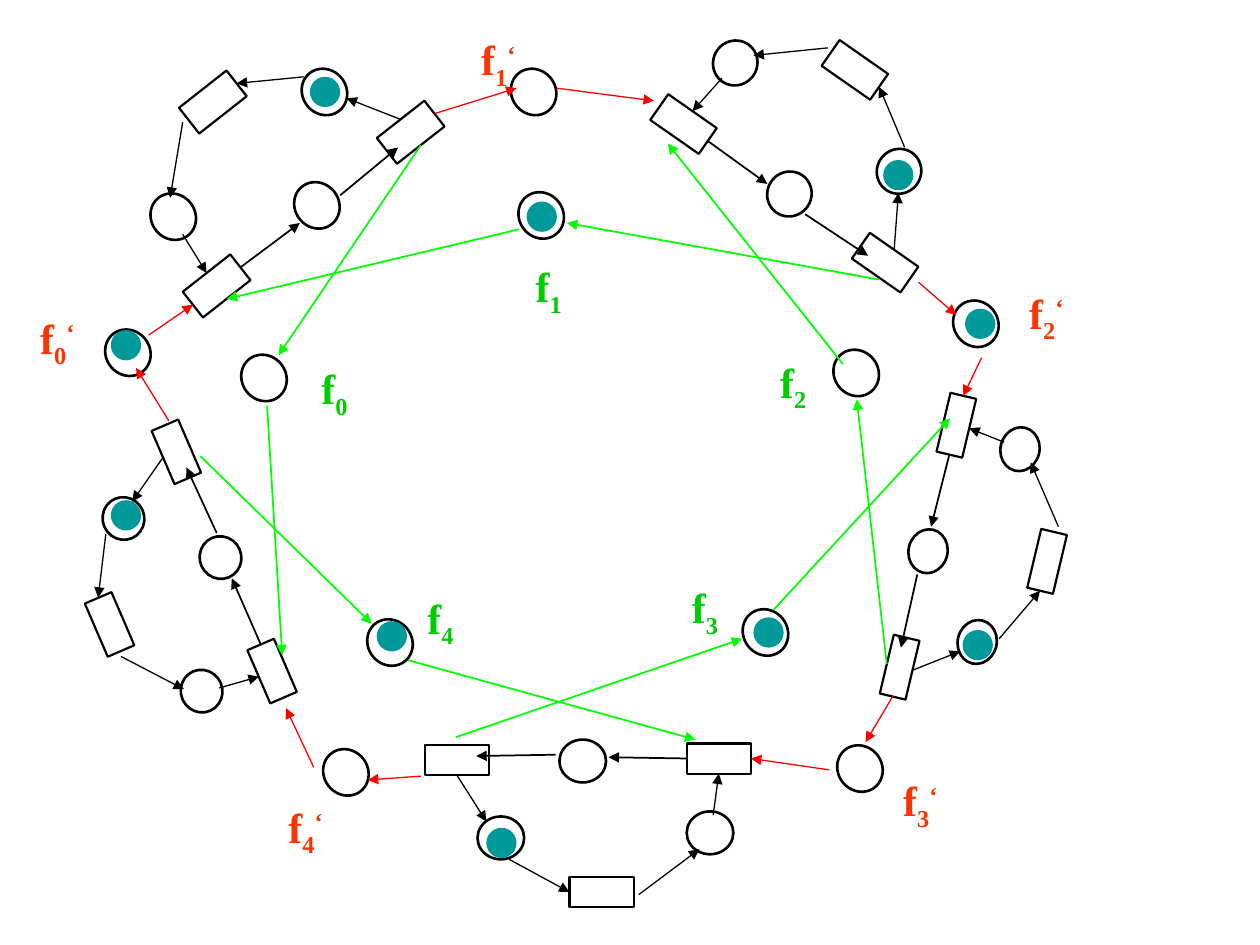
from math import cos, dist, radians, sin

from lxml.etree import SubElement
from pptx import Presentation
from pptx.dml.color import RGBColor
from pptx.enum.shapes import MSO_CONNECTOR, MSO_SHAPE
from pptx.enum.text import MSO_AUTO_SIZE, PP_ALIGN
from pptx.oxml.ns import qn
from pptx.util import Inches, Pt

COLORS = {
    "ink": "000000",
    "token": "009999",
    "taken": "FF0000",
    "free": "00FF00",
    "taken_label": "FF3300",
    "free_label": "00CC00",
}

PHILOSOPHERS = [
    {
        "rotation": 321.9, "place": (0.35, 0.38), "transition": (0.48, 0.26),
        "places": [(2.34, 1.44), (1.2, 1.53), (2.4, 0.54)],
        "transitions": [(1.48, 2.14), (1.45, 0.68), (3.02, 0.92)],
        "main": [(1.92, 2.15, 2.38, 1.77), (2.7, 1.55, 3.16, 1.17)],
        "loop": [(3.17, 0.96, 2.75, 0.78), (2.41, 0.61, 1.87, 0.69),
                 (1.45, 0.97, 1.35, 1.57), (1.45, 1.86, 1.66, 2.15)],
    },
    {
        "rotation": 103.4, "place": (0.35, 0.31), "transition": (0.48, 0.21),
        "places": [(7.19, 4.22), (7.92, 3.41), (7.58, 4.94)],
        "transitions": [(7.35, 3.27), (8.07, 4.35), (6.9, 5.19)],
        "main": [(7.52, 3.6, 7.39, 4.18), (7.28, 4.56, 7.15, 5.14)],
        "loop": [(7.25, 5.31, 7.62, 5.17), (7.93, 5.07, 8.25, 4.67),
                 (8.4, 4.18, 8.18, 3.67), (7.97, 3.51, 7.7, 3.43)],
    },
    {
        "rotation": 246.7, "place": (0.34, 0.33), "transition": (0.46, 0.23),
        "places": [(1.58, 4.26), (1.43, 5.32), (0.81, 3.95)],
        "transitions": [(1.93, 5.21), (0.64, 4.84), (1.17, 3.47)],
        "main": [(2.08, 5.11, 1.84, 4.59), (1.72, 4.23, 1.48, 3.71)],
        "loop": [(1.3, 3.64, 1.05, 3.98), (0.84, 4.24, 0.8, 4.75),
                 (0.96, 5.21, 1.46, 5.47), (1.74, 5.46, 2.03, 5.35)],
    },
    {
        "rotation": 180, "place": (0.37, 0.34), "transition": (0.51, 0.24),
        "places": [(4.44, 5.87), (5.45, 6.44), (3.79, 6.48)],
        "transitions": [(5.45, 5.9), (4.52, 6.96), (3.37, 5.91)],
        "main": [(5.46, 6, 4.83, 6.01), (4.41, 5.99, 3.78, 6)],
        "loop": [(3.63, 6.15, 3.86, 6.52), (4.04, 6.82, 4.54, 7.06),
                 (5.07, 7.1, 5.55, 6.74), (5.66, 6.47, 5.68, 6.15)],
    },
    {
        "rotation": 34.9, "place": (0.35, 0.36), "transition": (0.47, 0.25),
        "places": [(6.09, 1.36), (5.66, 0.32), (6.96, 1.18)],
        "transitions": [(5.19, 0.86), (6.55, 0.43), (6.79, 1.96)],
        "main": [(5.6, 1.13, 6.09, 1.46), (6.39, 1.7, 6.89, 2.03)],
        "loop": [(7.09, 1.98, 7.13, 1.53), (7.18, 1.17, 6.95, 0.7),
                 (6.57, 0.38, 5.98, 0.44), (5.73, 0.62, 5.53, 0.89)],
    },
]

FORKS = [
    (4.06, 0.54), (4.12, 1.52), (7.57, 2.38), (6.62, 2.77), (5.9, 4.83),
    (6.65, 5.91), (2.92, 4.91), (2.57, 5.94), (1.92, 2.81), (0.84, 2.61),
]
TAKEN_ARROWS = [
    (3.43, 0.88, 4.1, 0.7), (4.42, 0.7, 5.19, 0.8),
    (7.29, 2.24, 7.59, 2.5), (7.79, 2.84, 7.65, 3.15),
    (7.06, 5.56, 6.87, 5.89), (6.58, 6.11, 5.99, 6.04),
    (3.34, 6.16, 2.92, 6.19), (2.49, 6.09, 2.27, 5.62),
    (1.34, 3.34, 1.08, 2.92), (1.18, 2.66, 1.52, 2.39),
]
FREE_ARROWS = [
    (6.98, 2.22, 4.5, 1.77), (4.12, 1.82, 1.8, 2.34),
    (7.05, 5.29, 6.8, 3.17), (6.69, 2.89, 5.3, 1.14),
    (3.62, 5.85, 5.89, 5.07), (6.14, 4.84, 7.54, 3.32),
    (1.59, 3.62, 2.95, 4.95), (3.24, 5.24, 5.52, 5.87),
    (3.34, 1.17, 2.21, 2.82), (2.12, 3.22, 2.24, 5.2),
]
TAKEN_LABELS = [(0.22, 2.43), (3.72, 0.22), (8.07, 2.23), (7.07, 6.1), (2.19, 6.31)]
FREE_LABELS = [(2.45, 2.83), (4.15, 2.02), (6.09, 2.78), (5.39, 4.57), (3.29, 4.65)]
TOKENS = [
    (0.88, 2.62), (4.18, 1.6), (7.66, 2.45), (5.98, 4.9), (2.99, 4.93),
    (2.46, 0.61), (7.01, 1.27), (7.64, 5), (3.86, 6.57), (0.88, 3.97),
]


class PetriNet:
    font = "Times New Roman"
    snap = 0.04

    def __init__(self, s):
        self.s = s
        self.sides = []

    def color(self, name):
        return RGBColor.from_string(COLORS[name])

    def shape(self, kind, at, size, rotation=0):
        sp = self.s.shapes.add_shape(kind, *map(Inches, at + size))
        sp.shadow.inherit = False
        sp.rotation = rotation
        return sp

    def outline(self, sp, weight):
        sp.fill.background()
        sp.line.color.rgb = self.color("ink")
        sp.line.width = Pt(weight)

    def place(self, at, size, rotation):
        self.outline(self.shape(MSO_SHAPE.OVAL, at, size, rotation), 1.5)

    def transition(self, at, size, rotation):
        sp = self.shape(MSO_SHAPE.RECTANGLE, at, size, rotation)
        self.outline(sp, 1.25)
        (x, y), (w, h), a = at, size, radians(rotation)
        offsets = [(0, -h / 2), (-w / 2, 0), (0, h / 2), (w / 2, 0)]
        for site, (dx, dy) in enumerate(offsets):
            middle = (x + w / 2 + dx * cos(a) - dy * sin(a),
                      y + h / 2 + dx * sin(a) + dy * cos(a))
            self.sides.append((middle, sp, site))

    def token(self, at):
        sp = self.shape(MSO_SHAPE.OVAL, at, (0.24, 0.24))
        sp.fill.solid()
        sp.fill.fore_color.rgb = self.color("token")
        sp.line.fill.background()

    def arrow(self, ends, color, weight):
        c = self.s.shapes.add_connector(MSO_CONNECTOR.STRAIGHT, 0, 0, 0, 0)
        points = []
        for point, connect in ((ends[:2], c.begin_connect), (ends[2:], c.end_connect)):
            middle, sp, site = min(self.sides, key=lambda side: dist(side[0], point))
            if dist(middle, point) <= self.snap:
                connect(sp, site)
                point = middle
            points.extend(map(Inches, point))
        c.begin_x, c.begin_y, c.end_x, c.end_y = points
        c.line.color.rgb = self.color(color)
        c.line.width = Pt(weight)
        SubElement(c.line._get_or_add_ln(), qn("a:tailEnd"), type="triangle")
        SubElement(c._element.spPr, qn("a:effectLst"))

    def label(self, at, width, parts, color):
        tf = self.s.shapes.add_textbox(*map(Inches, at + (width, 0.56))).text_frame
        tf.word_wrap = False
        tf.auto_size = MSO_AUTO_SIZE.SHAPE_TO_FIT_TEXT
        p = tf.paragraphs[0]
        p.alignment = PP_ALIGN.CENTER
        for text, baseline in zip(parts, (0, -25000, 30000)):
            r = p.add_run()
            r.text = text
            r.font.name = self.font
            r.font.size = Pt(24)
            r.font.bold = True
            r.font.color.rgb = self.color(color)
            if baseline:
                r.font._element.set("baseline", str(baseline))

    def philosopher(self, spec):
        for at in spec["places"]:
            self.place(at, spec["place"], spec["rotation"])
        for at in spec["transitions"]:
            self.transition(at, spec["transition"], spec["rotation"])
        for part, weight in (("main", 1), ("loop", 0.75)):
            for ends in spec[part]:
                self.arrow(ends, "ink", weight)


def main():
    prs = Presentation()
    prs.slide_width, prs.slide_height = Inches(10), Inches(7.5)
    net = PetriNet(prs.slides.add_slide(prs.slide_layouts[6]))
    for philosopher in PHILOSOPHERS:
        net.philosopher(philosopher)
    for at in FORKS:
        net.place(at, (0.35, 0.38), 321.9)
    for arrows, color, weight in ((TAKEN_ARROWS, "taken", 0.75), (FREE_ARROWS, "free", 1)):
        for ends in arrows:
            net.arrow(ends, color, weight)
    for i, at in enumerate(TAKEN_LABELS):
        net.label(at, 0.47, ("f", str(i), "‘"), "taken_label")
    for i, at in enumerate(FREE_LABELS):
        net.label(at, 0.41, ("f", str(i)), "free_label")
    for at in TOKENS:
        net.token(at)
    prs.save("out.pptx")


if __name__ == "__main__":
    main()
